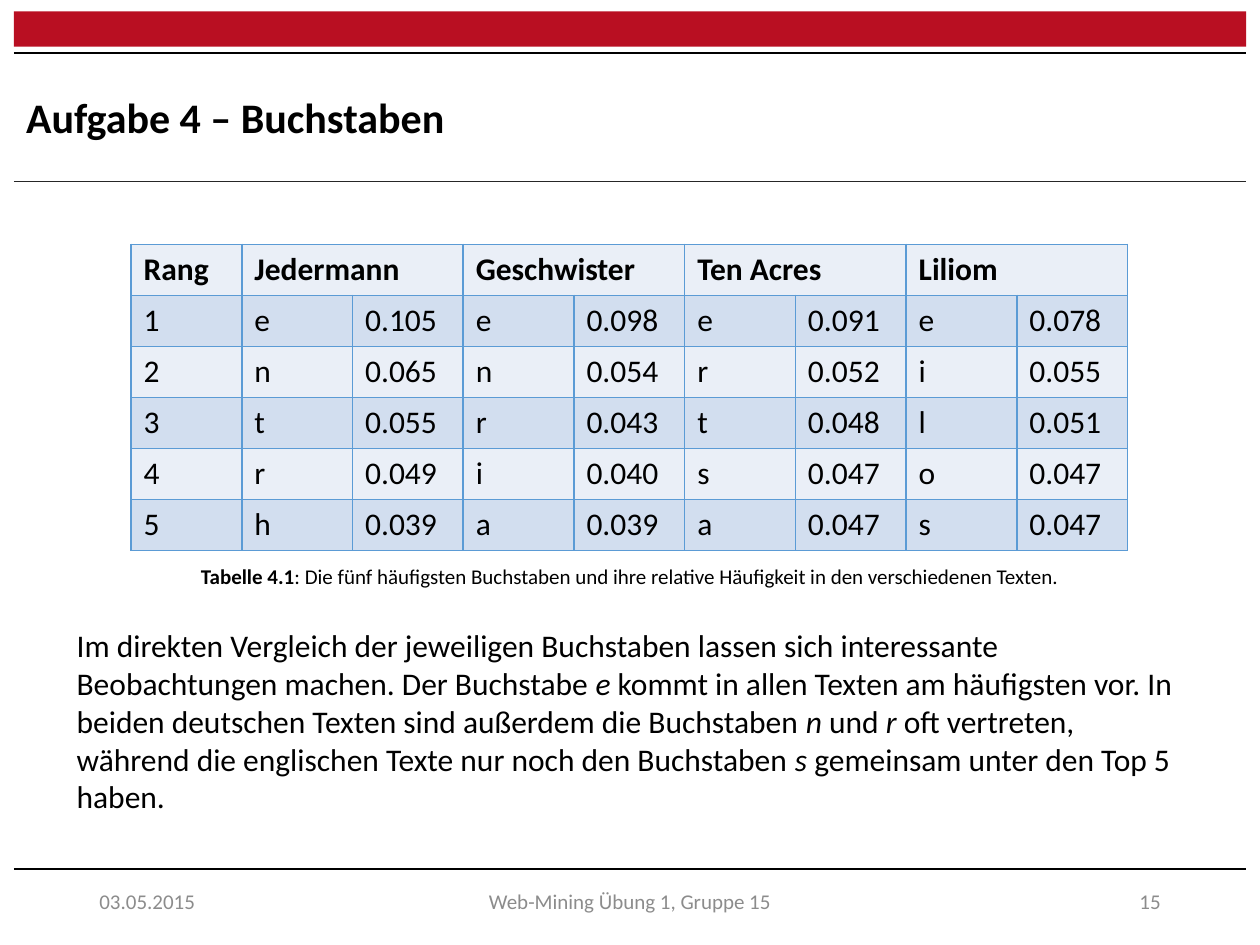
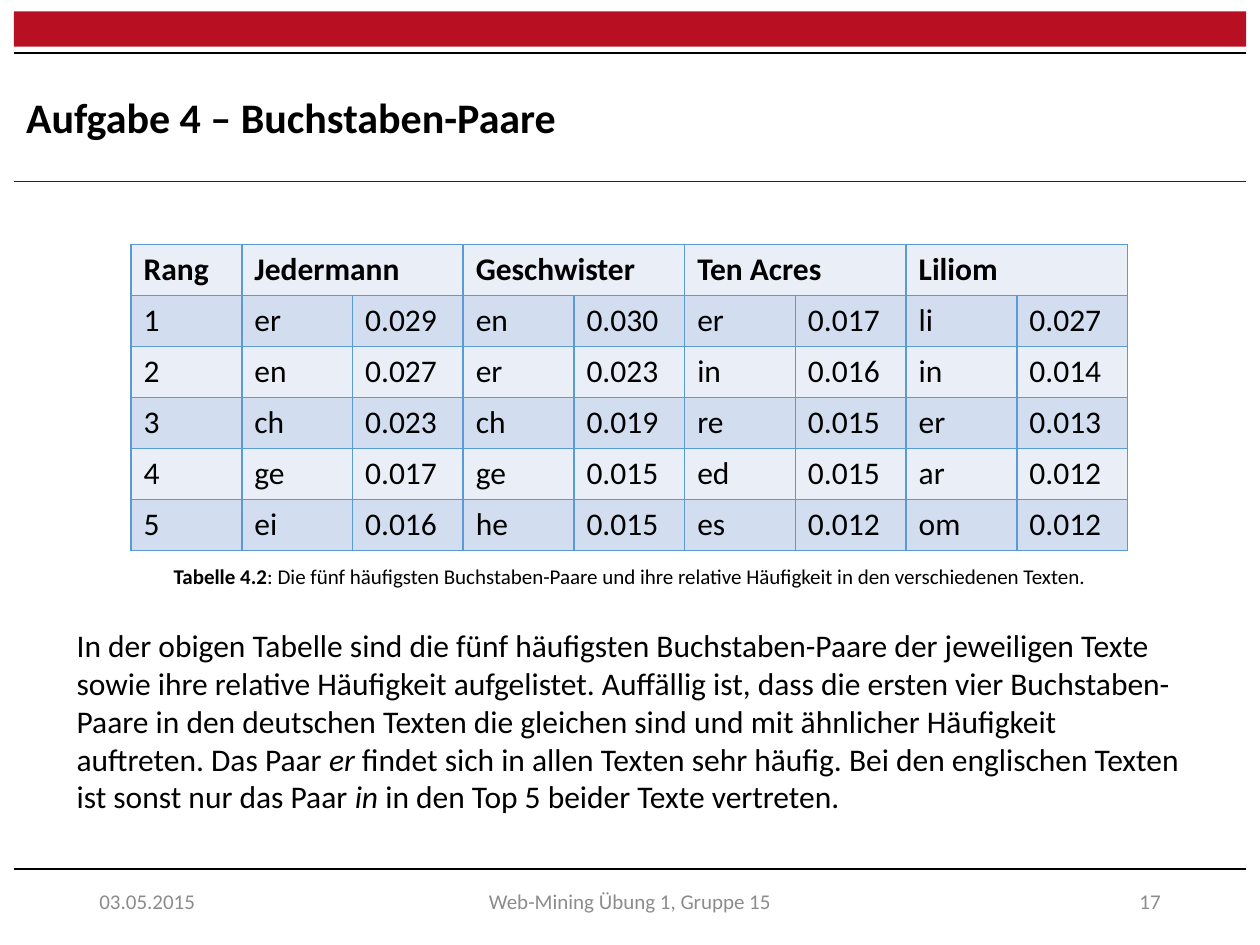
from lxml.etree import SubElement
from pptx import Presentation
from pptx.dml.color import RGBColor
from pptx.enum.shapes import MSO_CONNECTOR, MSO_SHAPE
from pptx.enum.text import MSO_ANCHOR, PP_ALIGN
from pptx.oxml.ns import qn
from pptx.util import Inches, Pt

RED = RGBColor(0xB9, 0x0F, 0x22)
BLACK = RGBColor(0x00, 0x00, 0x00)
CHARCOAL = RGBColor(0x26, 0x26, 0x26)
GREY = RGBColor(0x8C, 0x8C, 0x8C)
LIGHT_BAND = RGBColor(0xEA, 0xEF, 0xF7)
DARK_BAND = RGBColor(0xD2, 0xDE, 0xEF)
GRID_BLUE = RGBColor(0x5B, 0x9B, 0xD5)

FONT = "Calibri"
LEFT, RIGHT = 0.11, 9.89
DATE = "03.05.2015"
COURSE = "Web-Mining Übung 1, Gruppe 15"
TEXTS = ["Jedermann", "Geschwister", "Ten Acres", "Liliom"]


def write(frame, text, size=18, color=BLACK, bold=False, emphasis="italic",
          align=PP_ALIGN.LEFT):
    """Fill a text frame; parts between asterisks get the emphasis."""
    paragraph = frame.paragraphs[0]
    paragraph.alignment = align
    for index, part in enumerate(text.split("*")):
        if not part:
            continue
        run = paragraph.add_run()
        run.text = part
        run.font.name = FONT
        run.font.size = Pt(size)
        run.font.color.rgb = color
        run.font.bold = bold
        if index % 2:
            setattr(run.font, emphasis, True)


def set_borders(cell, color, width):
    """Draw a line on all four sides of a table cell."""
    properties = cell._tc.get_or_add_tcPr()
    for side in ("lnL", "lnR", "lnT", "lnB"):
        line = SubElement(properties, qn(f"a:{side}"), w=str(Pt(width)))
        fill = SubElement(line, qn("a:solidFill"))
        SubElement(fill, qn("a:srgbClr"), val=str(color))


class Deck:
    """Holds the presentation, its style and the current slide."""

    def __init__(self):
        """Start an empty 10 by 7.5 inch presentation."""
        self.presentation = Presentation()
        self.presentation.slide_width = Inches(10)
        self.presentation.slide_height = Inches(7.5)
        self.slide = None

    def start_slide(self, title, number):
        """Add a slide with its band, rules, title and footer."""
        blank = self.presentation.slide_layouts[6]
        self.slide = self.presentation.slides.add_slide(blank)
        self.band(0.09, 0.28)
        self.rule(0.42)
        self.rule(6.9)
        self.rule(1.44, CHARCOAL, 0.75)
        footers = [(0.69, 2.25, DATE, PP_ALIGN.LEFT),
                   (3.31, 3.38, COURSE, PP_ALIGN.CENTER),
                   (7.06, 2.25, str(number), PP_ALIGN.RIGHT)]
        for left, width, text, align in footers:
            self.text(left, 6.95, width, 0.4, text, anchor=MSO_ANCHOR.MIDDLE,
                      size=12, color=GREY, align=align)
        self.text(LEFT, 0.68, 7.72, 0.5, title, size=24, bold=True)

    def band(self, top, height):
        """Draw the red band across the slide."""
        band = self.slide.shapes.add_shape(
            MSO_SHAPE.RECTANGLE, Inches(LEFT), Inches(top),
            Inches(RIGHT - LEFT), Inches(height))
        band.shadow.inherit = False
        band.fill.solid()
        band.fill.fore_color.rgb = RED
        band.line.fill.background()

    def rule(self, y, color=BLACK, width=1.2):
        """Draw a horizontal rule across the slide."""
        rule = self.slide.shapes.add_connector(
            MSO_CONNECTOR.STRAIGHT, Inches(LEFT), Inches(y),
            Inches(RIGHT), Inches(y))
        rule.line.color.rgb = color
        rule.line.width = Pt(width)
        SubElement(rule._element.spPr, qn("a:effectLst"))

    def text(self, left, top, width, height, text, anchor=MSO_ANCHOR.TOP,
             **style):
        """Add a wrapping text box and return its frame."""
        box = self.slide.shapes.add_textbox(
            Inches(left), Inches(top), Inches(width), Inches(height))
        frame = box.text_frame
        frame.word_wrap = True
        frame.vertical_anchor = anchor
        write(frame, text, **style)
        return frame

    def ranking(self, rankings):
        """Add the table of ranks; each row pairs an entry and a value per text."""
        header = ["Rang"]
        for name in TEXTS:
            header += [name, ""]
        rows = [header] + [[str(rank)] + line.split()
                           for rank, line in enumerate(rankings, 1)]
        table = self.slide.shapes.add_table(
            len(rows), len(header), Inches(1.04), Inches(1.94),
            Inches(7.91), Inches(2.43)).table
        table.first_row = table.horz_banding = False
        for r, row in enumerate(rows):
            for c, value in enumerate(row):
                cell = table.cell(r, c)
                set_borders(cell, GRID_BLUE, 1)
                cell.fill.solid()
                cell.fill.fore_color.rgb = DARK_BAND if r % 2 else LIGHT_BAND
                write(cell.text_frame, value, bold=r == 0)
        for c in range(1, len(header), 2):
            table.cell(0, c).merge(table.cell(0, c + 1))

    def caption(self, text):
        """Add the centred caption under the table."""
        self.text(0.89, 4.42, 8.22, 0.3, text, size=12, emphasis="bold",
                  align=PP_ALIGN.CENTER)

    def discussion(self, text):
        """Add the discussion, set at the foot of the content area."""
        frame = self.text(0.51, 1.6, 8.98, 4.95, text,
                          anchor=MSO_ANCHOR.BOTTOM)
        frame.margin_bottom = Inches(0.08)


def build_letters(deck):
    """Build the slide on single letters."""
    deck.start_slide("Aufgabe 4 – Buchstaben", 15)
    deck.discussion(
        "Im direkten Vergleich der jeweiligen Buchstaben lassen sich "
        "interessante Beobachtungen machen. Der Buchstabe *e *kommt in allen "
        "Texten am häufigsten vor. In beiden deutschen Texten sind außerdem "
        "die Buchstaben *n* und *r* oft vertreten, während die englischen "
        "Texte nur noch den Buchstaben *s* gemeinsam unter den Top 5 haben.")
    deck.ranking(["e 0.105 e 0.098 e 0.091 e 0.078",
                  "n 0.065 n 0.054 r 0.052 i 0.055",
                  "t 0.055 r 0.043 t 0.048 l 0.051",
                  "r 0.049 i 0.040 s 0.047 o 0.047",
                  "h 0.039 a 0.039 a 0.047 s 0.047"])
    deck.caption("*Tabelle 4.1*: Die fünf häufigsten Buchstaben und ihre "
                 "relative Häufigkeit in den verschiedenen Texten.")


def build_pairs(deck):
    """Build the slide on letter pairs."""
    deck.start_slide("Aufgabe 4 – Buchstaben-Paare", 17)
    deck.discussion(
        "In der obigen Tabelle sind die fünf häufigsten Buchstaben-Paare der "
        "jeweiligen Texte sowie ihre relative Häufigkeit aufgelistet. "
        "Auffällig ist, dass die ersten vier Buchstaben-Paare in den "
        "deutschen Texten die gleichen sind und mit ähnlicher Häufigkeit "
        "auftreten. Das Paar *er* findet sich in allen Texten sehr häufig. "
        "Bei den englischen Texten ist sonst nur das Paar *in *in den Top 5 "
        "beider Texte vertreten.")
    deck.ranking(["er 0.029 en 0.030 er 0.017 li 0.027",
                  "en 0.027 er 0.023 in 0.016 in 0.014",
                  "ch 0.023 ch 0.019 re 0.015 er 0.013",
                  "ge 0.017 ge 0.015 ed 0.015 ar 0.012",
                  "ei 0.016 he 0.015 es 0.012 om 0.012"])
    deck.caption("*Tabelle 4.2*: Die fünf häufigsten Buchstaben-Paare und ihre "
                 "relative Häufigkeit in den verschiedenen Texten.")


deck = Deck()
build_letters(deck)
build_pairs(deck)
deck.presentation.save("out.pptx")
